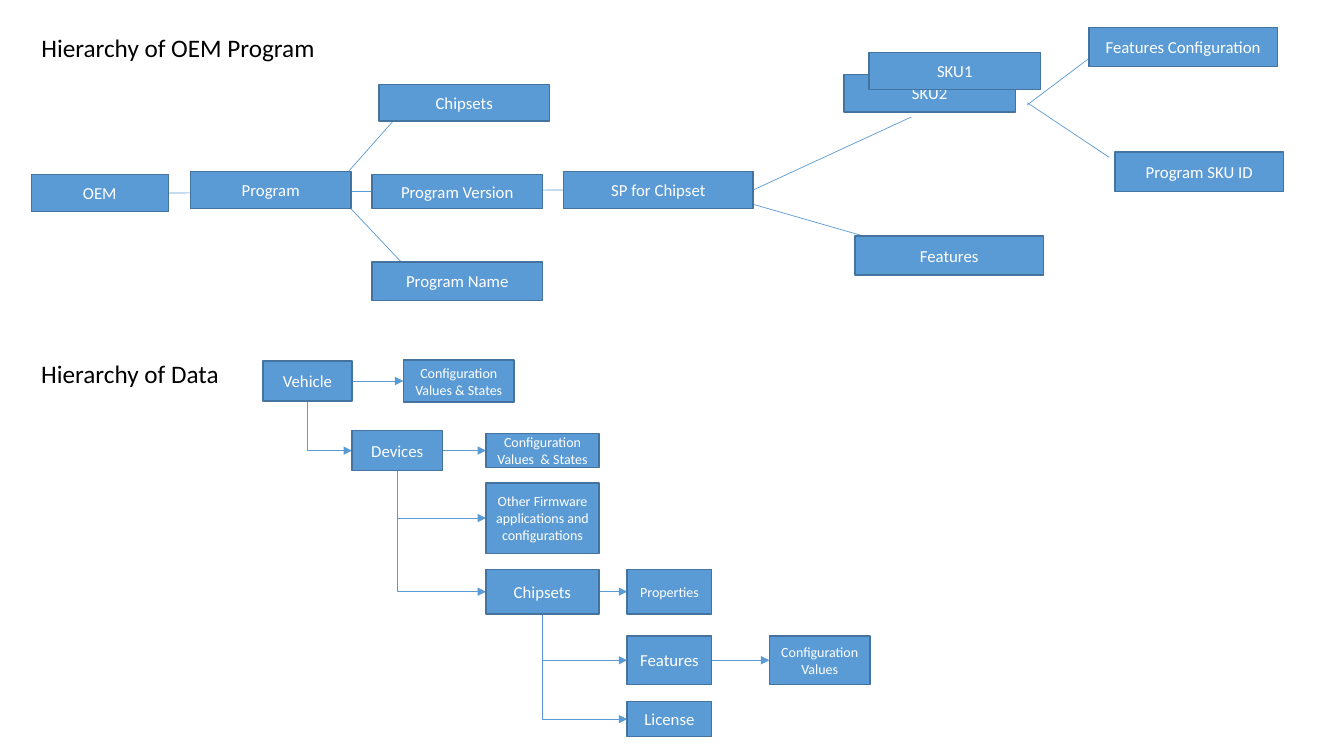
from typing import NamedTuple
from lxml.etree import SubElement
from pptx import Presentation
from pptx.dml.color import RGBColor
from pptx.enum.shapes import MSO_CONNECTOR, MSO_SHAPE
from pptx.enum.text import MSO_ANCHOR, MSO_AUTO_SIZE, PP_ALIGN
from pptx.oxml.ns import qn
from pptx.util import Inches, Pt

COLORS = {"fill": "5B9BD5", "edge": "43739E", "light": "FFFFFF", "dark": "000000"}
FONT = "Calibri"


class Box(NamedTuple):
    text: str
    left: float
    top: float
    width: float
    height: float
    size: int = 12

    @property
    def west(self) -> tuple[float, float]:
        return self.left, self.top + self.height / 2

    @property
    def east(self) -> tuple[float, float]:
        return self.left + self.width, self.top + self.height / 2

    @property
    def south(self) -> tuple[float, float]:
        return self.left + self.width / 2, self.top + self.height


class Line(NamedTuple):
    start: tuple[float, float]
    end: tuple[float, float]
    arrow: bool = False
    bent: bool = False


def color(name: str) -> RGBColor:
    return RGBColor.from_string(COLORS[name])


def write(frame, text: str, size: int, tint: str, align, anchor) -> None:
    frame.word_wrap = True
    frame.auto_size = MSO_AUTO_SIZE.NONE
    frame.vertical_anchor = anchor
    para = frame.paragraphs[0]
    para.alignment = align
    run = para.add_run()
    run.text = text
    run.font.name = FONT
    run.font.size = Pt(size)
    run.font.color.rgb = color(tint)


def draw_box(shapes, box: Box) -> None:
    area = [Inches(v) for v in (box.left, box.top, box.width, box.height)]
    shape = shapes.add_shape(MSO_SHAPE.RECTANGLE, *area)
    shape.shadow.inherit = False
    shape.fill.solid()
    shape.fill.fore_color.rgb = color("fill")
    shape.line.color.rgb = color("edge")
    shape.line.width = Pt(1)
    write(shape.text_frame, box.text, box.size, "light",
          PP_ALIGN.CENTER, MSO_ANCHOR.MIDDLE)


def draw_line(shapes, line: Line) -> None:
    (x1, y1), (x2, y2) = line.start, line.end
    if line.bent:
        mid_x, mid_y = (x1 + x2) / 2, (y1 + y2) / 2
        half_w, half_h = (y2 - y1) / 2, (x2 - x1) / 2
        x1, x2 = mid_x + half_w, mid_x - half_w
        y1, y2 = mid_y - half_h, mid_y + half_h
    link = shapes.add_connector(MSO_CONNECTOR.STRAIGHT,
                                *[Inches(v) for v in (x1, y1, x2, y2)])
    link.line.color.rgb = color("fill")
    link.line.width = Pt(0.5)
    props = link._element.spPr
    if line.bent:
        props.find(qn("a:xfrm")).set("rot", "16200000")
        props.find(qn("a:prstGeom")).set("prst", "bentConnector2")
    if line.arrow:
        SubElement(props.find(qn("a:ln")), qn("a:tailEnd"), type="triangle")
    SubElement(props, qn("a:effectLst"))


def draw_head(shape, text: str, top: float) -> None:
    shape.left, shape.top = Inches(0.31), Inches(top)
    shape.width, shape.height = Inches(5.14), Inches(0.4)
    write(shape.text_frame, text, 18, "dark", PP_ALIGN.LEFT, MSO_ANCHOR.TOP)


oem = Box("OEM", 0.31, 1.73, 1.36, 0.37)
chipset = Box("SP for Chipset", 5.59, 1.7, 1.88, 0.37)
program = [
    oem, chipset,
    Box("Program", 1.89, 1.7, 1.59, 0.37),
    Box("Program Version", 3.69, 1.73, 1.69, 0.34),
    Box("Chipsets", 3.76, 0.84, 1.69, 0.36),
    Box("Program Name", 3.69, 2.6, 1.69, 0.38),
    Box("SKU2", 8.37, 0.74, 1.7, 0.37),
    Box("SKU1", 8.62, 0.52, 1.7, 0.37),
    Box("Features", 8.48, 2.34, 1.87, 0.39),
    Box("Features Configuration", 10.8, 0.27, 1.87, 0.39),
    Box("Program SKU ID", 11.06, 1.51, 1.67, 0.39),
]

car = Box("Vehicle", 2.61, 3.58, 0.88, 0.4)
car_state = Box("Configuration Values & States", 4, 3.57, 1.1, 0.42, 10)
device = Box("Devices", 3.49, 4.27, 0.9, 0.4)
state = Box("Configuration Values  & States", 4.82, 4.3, 1.12, 0.34, 10)
firmware = Box("Other Firmware applications and configurations",
               4.82, 4.79, 1.12, 0.7, 10)
chips = Box("Chipsets", 4.82, 5.65, 1.12, 0.44)
traits = Box("Properties", 6.22, 5.65, 0.84, 0.44, 10)
feature = Box("Features", 6.22, 6.31, 0.84, 0.48)
license_box = Box("License", 6.22, 6.96, 0.84, 0.35)
values = Box("Configuration Values", 7.63, 6.31, 1, 0.48, 10)
data = [car, car_state, device, state, firmware,
        chips, traits, feature, license_box, values]

across = [(car, car_state), (device, state), (chips, traits), (feature, values)]
down = [(car, device), (device, firmware), (device, chips),
        (chips, feature), (chips, license_box)]

lines = [
    Line(oem.east, chipset.west),
    Line(chipset.east, (9.04, 1.16)),
    Line((7.41, 2.01), (9.08, 2.49)),
    Line((10.19, 1.04), (10.8, 0.58)),
    Line((10.19, 1.02), (11, 1.56)),
    Line((3.36, 1.81), (3.98, 1.11)),
    Line((3.48, 2.07), (3.98, 2.6)),
]
lines += [Line(a.east, b.west, arrow=True) for a, b in across]
lines += [Line(a.south, b.west, arrow=True, bent=True) for a, b in down]

deck = Presentation()
deck.slide_width, deck.slide_height = Inches(13.33), Inches(7.5)
shapes = deck.slides.add_slide(deck.slide_layouts[5]).shapes

draw_head(shapes.title, "Hierarchy of OEM Program", 0.27)
draw_head(shapes.add_textbox(0, 0, 0, 0), "Hierarchy of Data", 3.51)
for line in lines:
    draw_line(shapes, line)
for box in program + data:
    draw_box(shapes, box)

deck.save("out.pptx")
